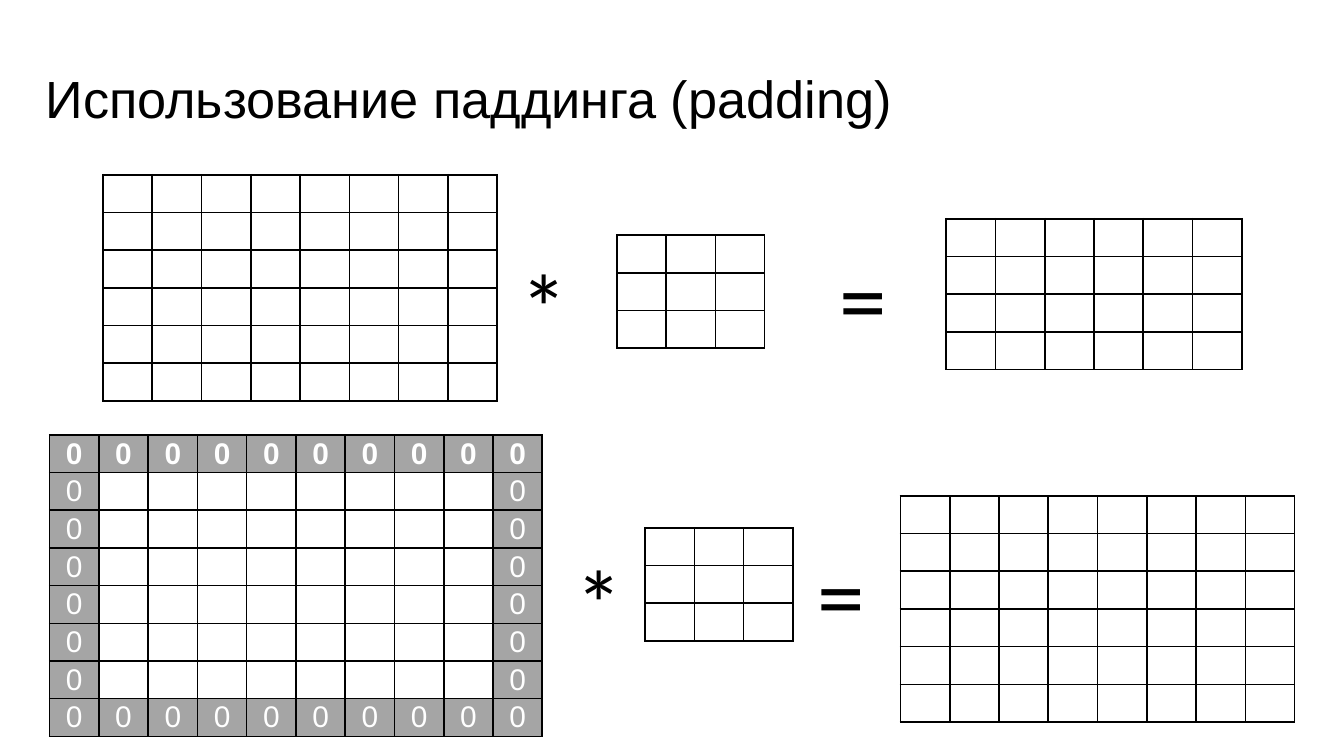
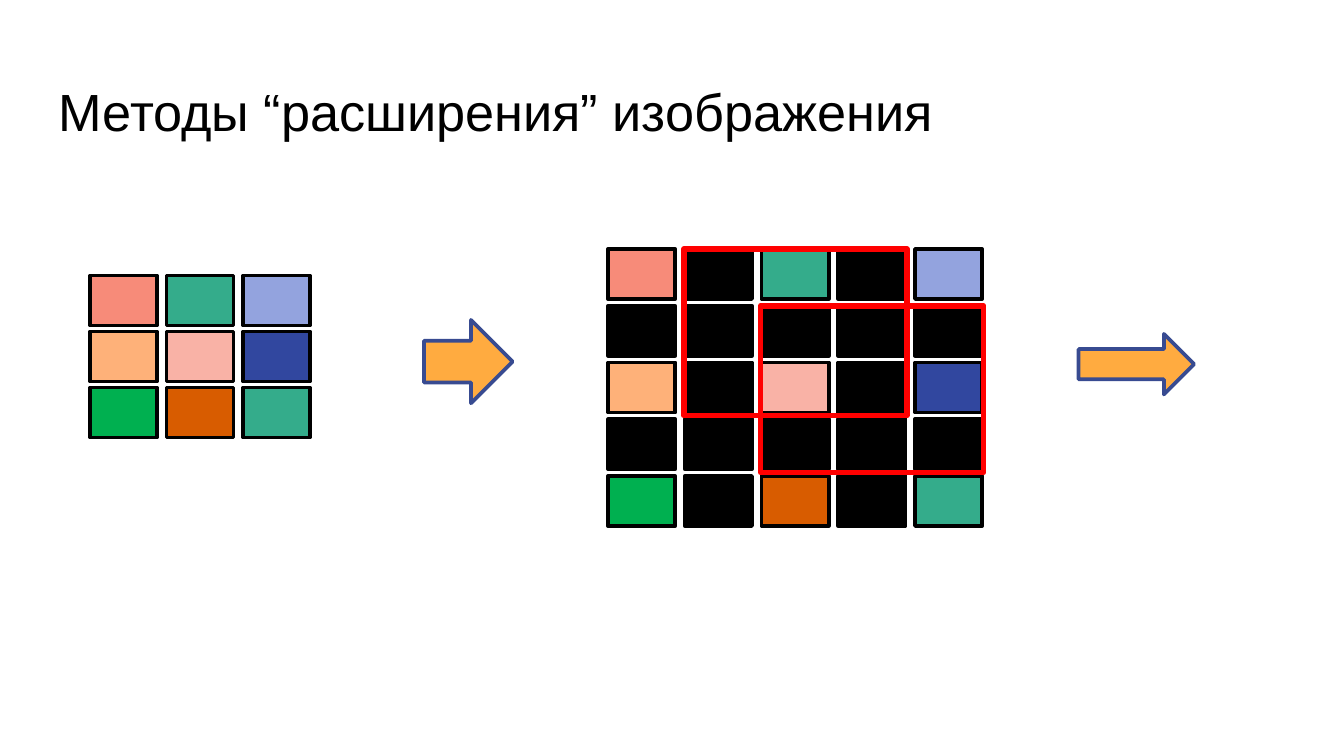
"""Build two slides on convolution padding and image upsampling."""
from pptx import Presentation
from pptx.dml.color import RGBColor
from pptx.enum.shapes import MSO_SHAPE as SHAPE
from pptx.enum.text import MSO_ANCHOR as ANCHOR, PP_ALIGN as ALIGN
from pptx.oxml import parse_xml
from pptx.oxml.ns import nsdecls
from pptx.util import Pt

BLACK, WHITE, GREY = "000000", "FFFFFF", "A5A5A5"
RED, ORANGE, NAVY = "FF0000", "FFAB40", "384B91"

PADDING_TITLE = "Использование паддинга (padding)"
MATRICES = [
    (55.2, 93.6, 8, 6, False),
    (330.5, 126, 3, 3, False),
    (506.9, 117.2, 6, 4, False),
    (345.6, 282.8, 3, 3, False),
    (26.6, 233, 10, 8, True),
    (482.4, 265.7, 8, 6, False),
]
OPERATORS = [("*", 265.7, 126), ("=", 437, 121.7), ("*", 295.2, 284.4), ("=", 424.8, 280.1)]
COL_W, ROW_H = 26.4, 20.2

UPSAMPLING_TITLE = "Методы “расширения” изображения"
PIXELS = [
    ["F78B79", "34AC8B", "93A3DE"],
    ["FEB179", "F9B2A6", "31479F"],
    ["00B050", "D85C00", "34AC8B"],
]
PIXEL_W, PIXEL_H = 36, 26.8
SMALL_GRID = (48.2, 147.6, 41, 30)
LARGE_GRID = (325.8, 133.4, 41.1, 30.4)
WINDOWS = [(2, 1), (1, 0)]
WINDOW_W, WINDOW_H = 119.5, 89.3
ARROWS = [(250.9, 193.7, 44.6, 47.5), (608.8, 195.1, 32.4, 61.9)]


def color(value):
    return RGBColor.from_string(value)


def add_text(slide, text, box, size, font, margins):
    tb = slide.shapes.add_textbox(*map(Pt, box))
    tf = tb.text_frame
    tf.word_wrap = True
    tf.margin_left = tf.margin_right = Pt(margins[0])
    tf.margin_top = tf.margin_bottom = Pt(margins[1])
    p = tf.paragraphs[0]
    p.text = text
    p.font.size, p.font.name = Pt(size), font
    p.font.color.rgb = color(BLACK)


def add_title(slide, text, margin):
    add_text(slide, text, (24.5, 35.3, 671, 45.4), 28, "Arial", (margin, margin))


def add_shape(slide, kind, box, fill, line, width):
    sp = slide.shapes.add_shape(kind, *map(Pt, box))
    sp.shadow.inherit = False
    if fill:
        sp.fill.solid()
        sp.fill.fore_color.rgb = color(fill)
    else:
        sp.fill.background()
    sp.line.color.rgb = color(line)
    sp.line.width = Pt(width)
    return sp


def style_cell(cell, padded, bold):
    tc_pr = cell._tc.get_or_add_tcPr()
    for side in "LRTB":
        tc_pr.append(parse_xml(
            f'<a:ln{side} {nsdecls("a")} w="12700"><a:solidFill>'
            f'<a:srgbClr val="{BLACK}"/></a:solidFill></a:ln{side}>'))
    cell.fill.solid()
    cell.fill.fore_color.rgb = color(GREY if padded else WHITE)
    cell.margin_left = cell.margin_right = cell.margin_top = cell.margin_bottom = 0
    cell.vertical_anchor = ANCHOR.MIDDLE
    p = cell.text_frame.paragraphs[0]
    if padded:
        p.text = "0"
        p.alignment = ALIGN.CENTER
        p.font.size, p.font.name, p.font.bold = Pt(16), "Arial", bold
        p.font.color.rgb = color(WHITE)
    else:
        p._p.get_or_add_endParaRPr().set("sz", "1600")


def add_matrix(slide, x, y, cols, rows, padded):
    frame = slide.shapes.add_table(
        rows, cols, Pt(x), Pt(y), Pt(cols * COL_W), Pt(rows * ROW_H))
    table = frame.table
    table.first_row = table.horz_banding = False
    for column in table.columns:
        column.width = Pt(COL_W)
    for r, row in enumerate(table.rows):
        row.height = Pt(ROW_H)
        for c, cell in enumerate(row.cells):
            edge = r in (0, rows - 1) or c in (0, cols - 1)
            style_cell(cell, padded and edge, r == 0)


def add_pixels(slide, pixels, grid):
    x, y, dx, dy = grid
    for r, row in enumerate(pixels):
        for c, fill in enumerate(row):
            box = (x + c * dx, y + r * dy, PIXEL_W, PIXEL_H)
            add_shape(slide, SHAPE.RECTANGLE, box, fill, BLACK, 2)


def spread(pixels):
    size = 2 * len(pixels) - 1
    return [[BLACK if r % 2 or c % 2 else pixels[r // 2][c // 2]
             for c in range(size)] for r in range(size)]


def build_padding(slide):
    add_title(slide, PADDING_TITLE, 0)
    for matrix in MATRICES:
        add_matrix(slide, *matrix)
    for sign, x, y in OPERATORS:
        add_text(slide, sign, (x, y, 58.5, 61.2), 51, "Calibri", (13, 6.5))


def build_upsampling(slide):
    add_pixels(slide, PIXELS, SMALL_GRID)
    add_pixels(slide, spread(PIXELS), LARGE_GRID)
    x, y, dx, dy = LARGE_GRID
    for c, r in WINDOWS:
        box = (x + c * dx - 0.5, y + r * dy, WINDOW_W, WINDOW_H)
        add_shape(slide, SHAPE.RECTANGLE, box, None, RED, 3)
    for cx, cy, w, h in ARROWS:
        box = (cx - w / 2, cy - h / 2, w, h)
        add_shape(slide, SHAPE.DOWN_ARROW, box, ORANGE, NAVY, 2).rotation = 270
    add_title(slide, UPSAMPLING_TITLE, 7.2)


def main():
    prs = Presentation()
    prs.slide_width, prs.slide_height = Pt(720), Pt(405)
    for build in (build_padding, build_upsampling):
        build(prs.slides.add_slide(prs.slide_layouts[6]))
    prs.save("out.pptx")


if __name__ == "__main__":
    main()
